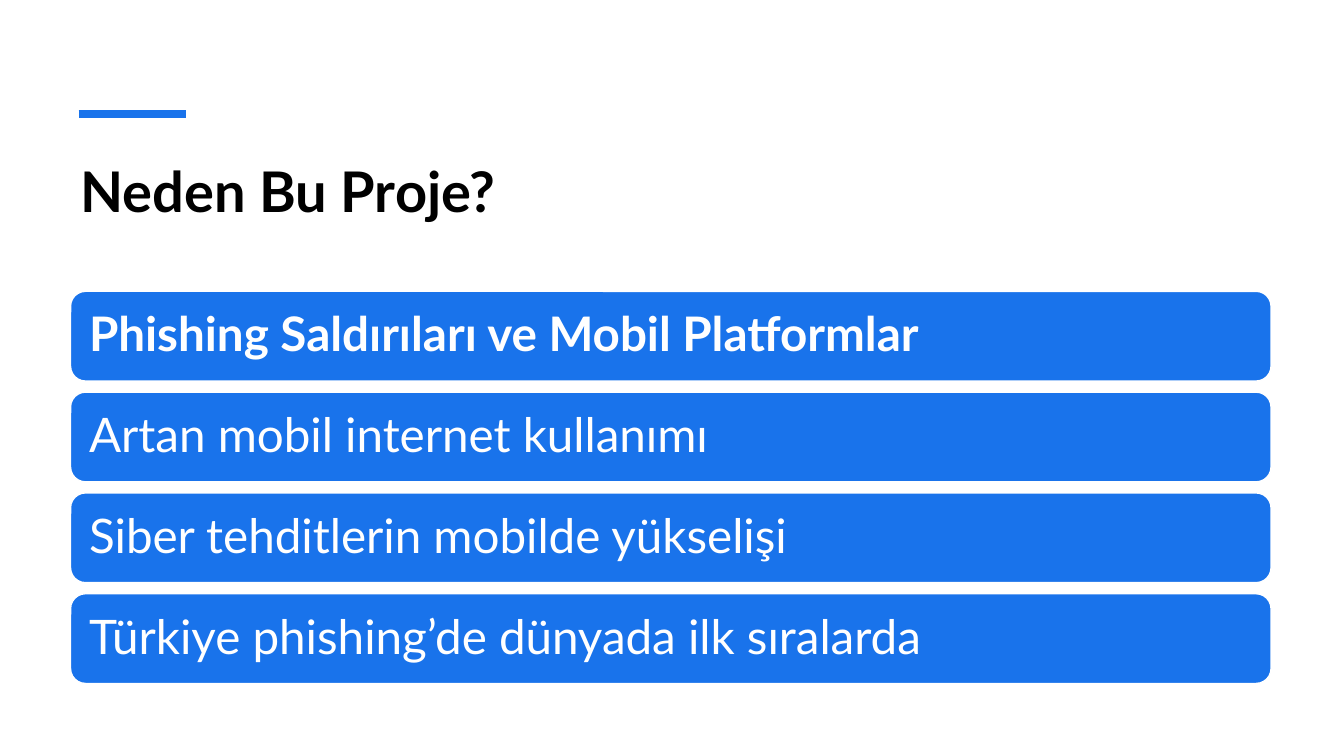
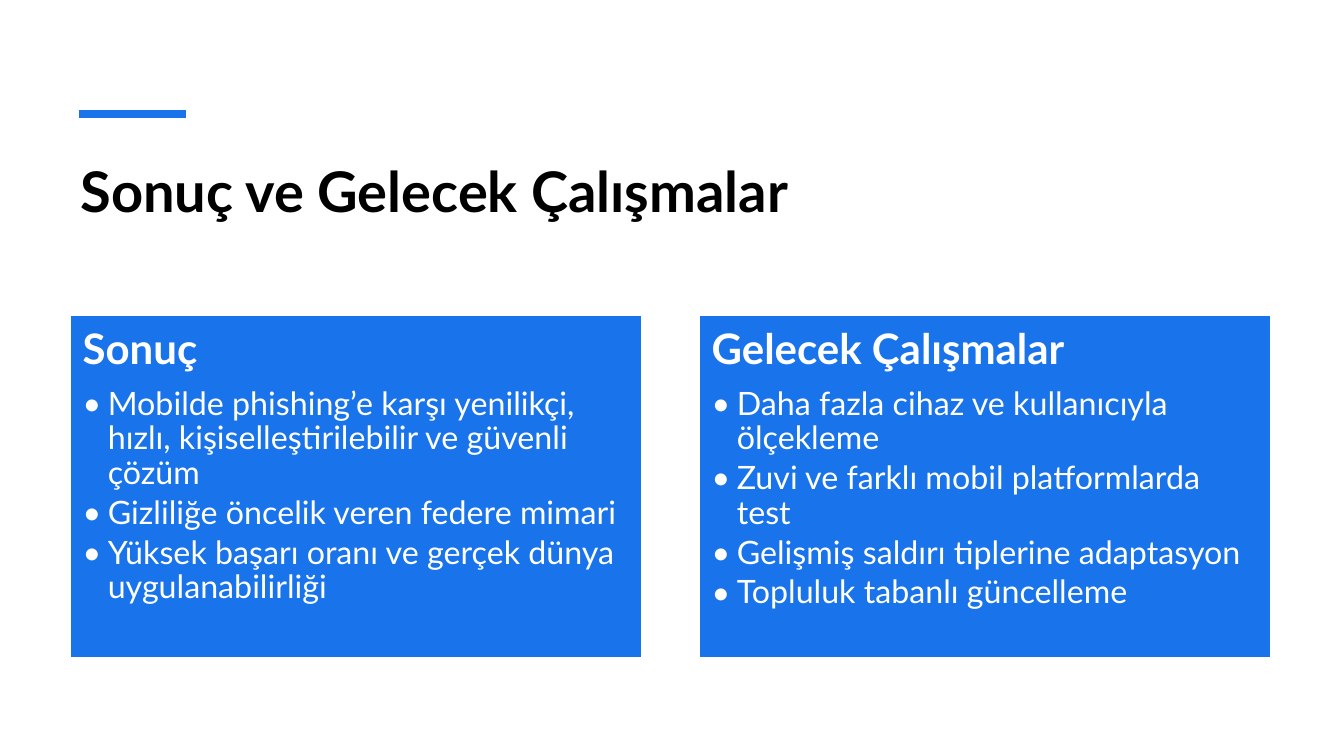
from lxml import etree
from pptx import Presentation
from pptx.dml.color import RGBColor
from pptx.enum.shapes import MSO_CONNECTOR, MSO_SHAPE
from pptx.enum.text import MSO_ANCHOR, PP_ALIGN
from pptx.oxml.ns import qn
from pptx.util import Pt

PX = 9144
BLUE = RGBColor(0x19, 0x73, 0xEB)
BLACK = RGBColor(0, 0, 0)
WHITE = RGBColor(255, 255, 255)
FONT = "Lato"
RECT = MSO_SHAPE.RECTANGLE
ROUND = MSO_SHAPE.ROUNDED_RECTANGLE
LINE = MSO_CONNECTOR.STRAIGHT
TOP = MSO_ANCHOR.TOP
MIDDLE = MSO_ANCHOR.MIDDLE
LEFT = PP_ALIGN.LEFT

EDGE, WIDE = 70, 1191
BAR_TOP, BAR_H, BAR_STEP = 289, 89, 100
CARD_TOP, CARD_W, CARD_H = 313, 567, 340

BARS = [
    "Phishing Saldırıları ve Mobil Platformlar",
    "Artan mobil internet kullanımı",
    "Siber tehditlerin mobilde yükselişi",
    "Türkiye phishing’de dünyada ilk sıralarda",
]
CARDS = [
    ("Sonuç", [
        "Mobilde phishing’e karşı yenilikçi, hızlı, kişiselleştirilebilir ve güvenli çözüm",
        "Gizliliğe öncelik veren federe mimari",
        "Yüksek başarı oranı ve gerçek dünya uygulanabilirliği",
    ]),
    ("Gelecek Çalışmalar", [
        "Daha fazla cihaz ve kullanıcıyla ölçekleme",
        "Zuvi ve farklı mobil platformlarda test",
        "Gelişmiş saldırı tiplerine adaptasyon",
        "Topluluk tabanlı güncelleme",
    ]),
]


def px(*nums):
    return [round(n * PX) for n in nums]


def set_frame(shape, side, edge, anchor=TOP):
    frame = shape.text_frame
    frame.word_wrap = True
    frame.vertical_anchor = anchor
    frame.margin_left, frame.margin_right = px(side, side)
    frame.margin_top, frame.margin_bottom = px(edge, edge)
    return frame


def add_text(frame, text, size, color=WHITE, bold=False, line=0.9, after=0, bullet=False):
    first = frame.paragraphs[0]
    para = frame.add_paragraph() if first.runs else first
    para.alignment = LEFT
    para.line_spacing = line
    para.space_after = Pt(after)
    if bullet:
        props = para._p.get_or_add_pPr()
        props.set("marL", str(25 * PX))
        props.set("indent", str(-25 * PX))
        etree.SubElement(props, qn("a:buFont")).set("typeface", FONT)
        etree.SubElement(props, qn("a:buChar")).set("char", "•")
    run = para.add_run()
    run.text = text
    font = run.font
    font.name, font.size, font.bold = FONT, Pt(size), bold
    font.color.rgb = color


def add_panel(slide, kind, left, top, width, height):
    panel = slide.shapes.add_shape(kind, *px(left, top, width, height))
    panel.shadow.inherit = False
    panel.fill.solid()
    panel.fill.fore_color.rgb = BLUE
    panel.line.color.rgb = WHITE
    panel.line.width = Pt(1)
    return panel


def add_slide(deck, title):
    slide = deck.slides.add_slide(deck.slide_layouts[6])
    rule = slide.shapes.add_connector(LINE, *px(78, 113, 185, 113))
    rule.line.color.rgb = BLUE
    rule.line.width = Pt(6)
    etree.SubElement(rule._element.spPr, qn("a:effectLst"))
    box = slide.shapes.add_textbox(*px(EDGE, 150, WIDE, 120))
    add_text(set_frame(box, 10, 5), title, 40, color=BLACK, bold=True, line=1.0)
    return slide


def add_bars(slide, texts):
    for i, text in enumerate(texts):
        bar = add_panel(slide, ROUND, EDGE, BAR_TOP + i * BAR_STEP, WIDE, BAR_H)
        add_text(set_frame(bar, 14, 14, MIDDLE), text, 34, bold=i == 0)


def add_cards(slide, cards):
    step = (WIDE - CARD_W) // (len(cards) - 1)
    for i, (head, points) in enumerate(cards):
        card = add_panel(slide, RECT, EDGE + i * step, CARD_TOP, CARD_W, CARD_H)
        frame = set_frame(card, 12, 13)
        add_text(frame, head, 30, bold=True, after=9.5)
        for point in points:
            add_text(frame, point, 23, after=3.6, bullet=True)


def main():
    deck = Presentation()
    deck.slide_width, deck.slide_height = px(1333.33, 750)
    add_bars(add_slide(deck, "Neden Bu Proje?"), BARS)
    add_cards(add_slide(deck, "Sonuç ve Gelecek Çalışmalar"), CARDS)
    deck.save("out.pptx")


if __name__ == "__main__":
    main()
